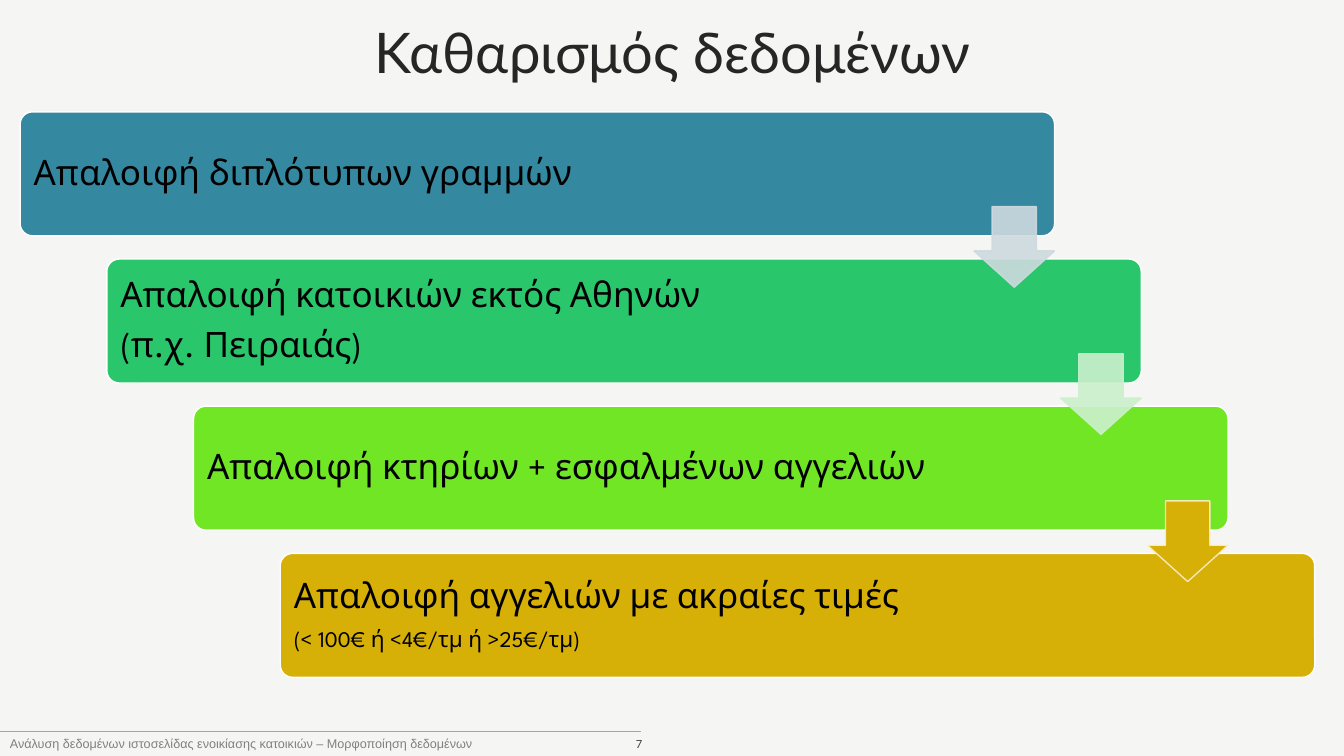
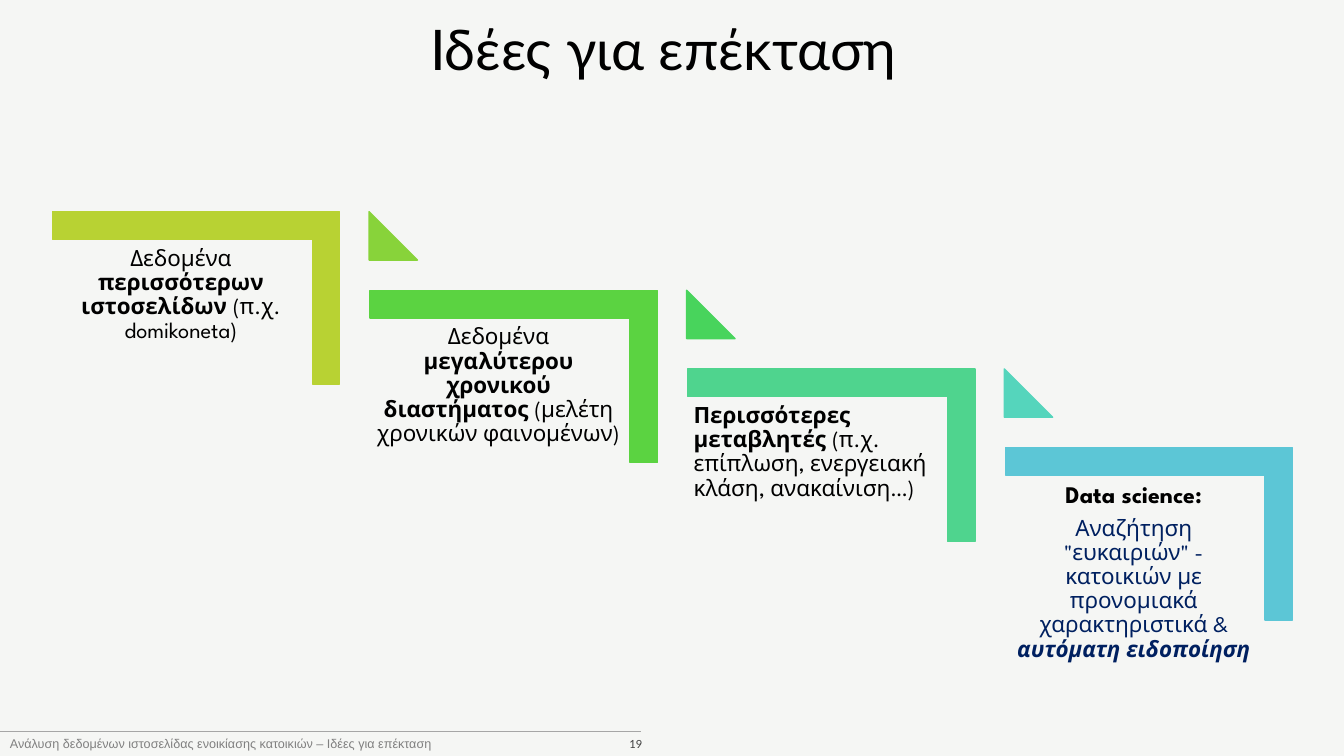
"""Builds two slides: a cascade of data cleaning steps and a staircase of extension ideas."""
from dataclasses import dataclass

from lxml import etree
from pptx import Presentation
from pptx import util as u
from pptx.dml.color import RGBColor
from pptx.enum import shapes, text
from pptx.oxml.ns import qn


@dataclass(frozen=True)
class Theme:
    background: str = "F5F6F4"
    ink: str = "000000"
    navy: str = "002060"
    white: str = "FFFFFF"
    footer: str = "808080"
    number: str = "404040"
    rule: str = "A6A6A6"
    title_font: str = "Lato"
    body_font: str = "League Spartan"
    footer_font: str = "Arial"
    title_size: int = 40
    step_size: int = 25
    idea_size: int = 16
    idea_heading_size: int = 17
    footer_size: int = 9
    number_size: int = 8
    line_spacing: float = 0.9
    space_share: float = 0.35


THEME = Theme()
WIDTH, HEIGHT = 13.33, 7.5
PLAIN, BOLD, BOLD_ITALIC = (False, False), (True, False), (True, True)
LEFT, CENTER, RIGHT = text.PP_ALIGN.LEFT, text.PP_ALIGN.CENTER, text.PP_ALIGN.RIGHT
FOOTER = "Ανάλυση δεδομένων ιστοσελίδας ενοικίασης κατοικιών – "

CLEANING = {
    "title": "Καθαρισμός δεδομένων", "title_at": (1.17, 0.15), "title_color": "262626",
    "section": "Μορφοποίηση δεδομένων", "number": "7",
}
STEPS = [
    ("3488A0", [("Απαλοιφή διπλότυπων γραμμών", THEME.step_size)]),
    ("2AC66B", [("Απαλοιφή κατοικιών εκτός Αθηνών", THEME.step_size),
                ("(π.χ. Πειραιάς)", THEME.step_size)]),
    ("70E625", [("Απαλοιφή κτηρίων + εσφαλμένων αγγελιών", THEME.step_size)]),
    ("D6AF07", [("Απαλοιφή αγγελιών με ακραίες τιμές", THEME.step_size),
                ("(< 100€ ή <4€/τμ ή >25€/τμ)", THEME.idea_size)]),
]
ARROWS = [("CEDADF", "CEDADF", 90), ("CBF0CC", "CBF0CC", 90), ("D6AF07", "FCEFCD", 100)]

EXTENSION = {
    "title": "Ιδέες για επέκταση", "title_at": (1.08, 0.12), "title_color": THEME.ink,
    "section": "Ιδέες για επέκταση", "number": "19",
}
IDEAS = [
    ("B8D233", CENTER, [(THEME.idea_size, THEME.ink, [
        ("Δεδομένα ", PLAIN), ("περισσότερων ιστοσελίδων ", BOLD), ("(π.χ. domikoneta)", PLAIN)])]),
    ("5BD341", CENTER, [(THEME.idea_size, THEME.ink, [
        ("Δεδομένα ", PLAIN), ("μεγαλύτερου χρονικού διαστήματος ", BOLD),
        ("(μελέτη χρονικών φαινομένων)", PLAIN)])]),
    ("4FD48E", LEFT, [(THEME.idea_size, THEME.ink, [
        ("Περισσότερες μεταβλητές ", BOLD),
        ("(π.χ. επίπλωση, ενεργειακή κλάση, ανακαίνιση…)", PLAIN)])]),
    ("5CC6D6", CENTER, [
        (THEME.idea_heading_size, THEME.ink, [("Data science:", BOLD)]),
        (THEME.idea_size, THEME.navy, [
            ('Αναζήτηση "ευκαιριών" - κατοικιών με προνομιακά χαρακτηριστικά & ', PLAIN),
            ("αυτόματη ειδοποίηση", BOLD_ITALIC)])]),
]
TRIANGLES = ["88D33A", "48D45C", "55D5BC"]


def rgb(color):
    return RGBColor.from_string(color)


def inches(*lengths):
    return [u.Inches(length) for length in lengths]


def set_alpha(element, percent):
    for color in element.iter(qn("a:srgbClr")):
        etree.SubElement(color, qn("a:alpha")).set("val", str(percent * 1000))


def add_shape(slide, kind, box, fill, line, adjustments, rotation=0):
    shape = slide.shapes.add_shape(kind, *inches(*box))
    shape.shadow.inherit = False
    shape.fill.solid()
    shape.fill.fore_color.rgb = rgb(fill)
    shape.line.color.rgb = rgb(line)
    shape.line.width = u.Pt(1)
    shape.rotation = rotation
    for index, value in enumerate(adjustments):
        shape.adjustments[index] = value
    return shape


def set_frame(shape, anchor, margins=(0.1, 0.05)):
    frame = shape.text_frame
    frame.word_wrap = True
    frame.vertical_anchor = anchor
    frame.margin_left = frame.margin_right = u.Inches(margins[0])
    frame.margin_top = frame.margin_bottom = u.Inches(margins[1])
    return frame


def style(paragraph, font, size, color, align=LEFT):
    paragraph.alignment = align
    paragraph.font.name = font
    paragraph.font.size = u.Pt(size)
    paragraph.font.color.rgb = rgb(color)


def add_line_of_text(slide, box, words, anchor, *look):
    frame = set_frame(slide.shapes.add_textbox(*inches(*box)), anchor)
    paragraph = frame.paragraphs[0]
    paragraph.text = words
    style(paragraph, *look)
    return paragraph


def fill_body(frame, paragraphs, align):
    for index, (size, color, runs) in enumerate(paragraphs):
        paragraph = frame.add_paragraph() if index else frame.paragraphs[0]
        style(paragraph, THEME.body_font, size, color, align)
        paragraph.line_spacing = THEME.line_spacing
        paragraph.space_after = u.Pt(THEME.space_share * size)
        for words, (bold, italic) in runs:
            run = paragraph.add_run()
            run.text = words
            run.font.bold, run.font.italic = bold, italic


def add_base(presentation, content):
    slide = presentation.slides.add_slide(presentation.slide_layouts[6])
    slide.background.fill.solid()
    slide.background.fill.fore_color.rgb = rgb(THEME.background)
    bottom = text.MSO_ANCHOR.BOTTOM
    add_line_of_text(slide, (5.55, 7.1, 0.92, 0.4), content["number"], bottom,
                     THEME.title_font, THEME.number_size, THEME.number, RIGHT)
    add_line_of_text(slide, (0, 7.1, 6.36, 0.4), FOOTER + content["section"], bottom,
                     THEME.footer_font, THEME.footer_size, THEME.footer)
    rule = slide.shapes.add_connector(shapes.MSO_CONNECTOR.STRAIGHT, *inches(0, 7.26, 6.36, 7.26))
    rule.line.color.rgb = rgb(THEME.rule)
    rule.line.width = u.Pt(0.5)
    etree.SubElement(rule._element.spPr, qn("a:effectLst"))
    title = add_line_of_text(slide, (*content["title_at"], 11, 0.8), content["title"],
                             text.MSO_ANCHOR.MIDDLE, THEME.title_font, THEME.title_size,
                             content["title_color"], CENTER)
    title.line_spacing = THEME.line_spacing
    return slide


def add_cleaning(presentation):
    slide = add_base(presentation, CLEANING)
    width, height, arrow_side = 10.26, 1.23, 0.8
    corners = [(0.2 + 0.86 * index, 1.11 + 1.46 * index) for index in range(len(STEPS))]
    for (left, top), (color, lines) in zip(corners, STEPS):
        step = add_shape(slide, shapes.MSO_SHAPE.ROUNDED_RECTANGLE, (left, top, width, height),
                         color, THEME.white, [0.1])
        frame = set_frame(step, text.MSO_ANCHOR.MIDDLE, (0.1, 0.1))
        fill_body(frame, [(size, THEME.ink, [(words, PLAIN)]) for words, size in lines], LEFT)
    for (left, top), (fill, line, opacity) in zip(corners, ARROWS):
        box = (left + width - arrow_side, top + 0.94, arrow_side, arrow_side)
        arrow = add_shape(slide, shapes.MSO_SHAPE.DOWN_ARROW, box, fill, line, [0.55, 0.45])
        properties = arrow._element.spPr
        set_alpha(properties.find(qn("a:solidFill")), opacity)
        set_alpha(properties.find(qn("a:ln")), 90)


def add_extension(presentation):
    slide = add_base(presentation, EXTENSION)
    column, row, side = 3.15, 0.78, 0.48
    for index, (color, align, paragraphs) in enumerate(IDEAS):
        left, top = 0.51 + column * index, 2.1 + row * index
        add_shape(slide, shapes.MSO_SHAPE.CORNER, (left + 0.01, top, 2.85, 1.71),
                  color, color, [0.16, 0.16], 180)
        if index:
            triangle_color = TRIANGLES[index - 1]
            add_shape(slide, shapes.MSO_SHAPE.ISOSCELES_TRIANGLE, (left, top - row, side, side),
                      triangle_color, triangle_color, [1], 90)
        label = slide.shapes.add_textbox(*inches(left, top + 0.28, 2.57, 2.25))
        fill_body(set_frame(label, text.MSO_ANCHOR.TOP, (0.07, 0.07)), paragraphs, align)


def main():
    presentation = Presentation()
    presentation.slide_width, presentation.slide_height = inches(WIDTH, HEIGHT)
    add_cleaning(presentation)
    add_extension(presentation)
    presentation.save("out.pptx")


if __name__ == "__main__":
    main()
